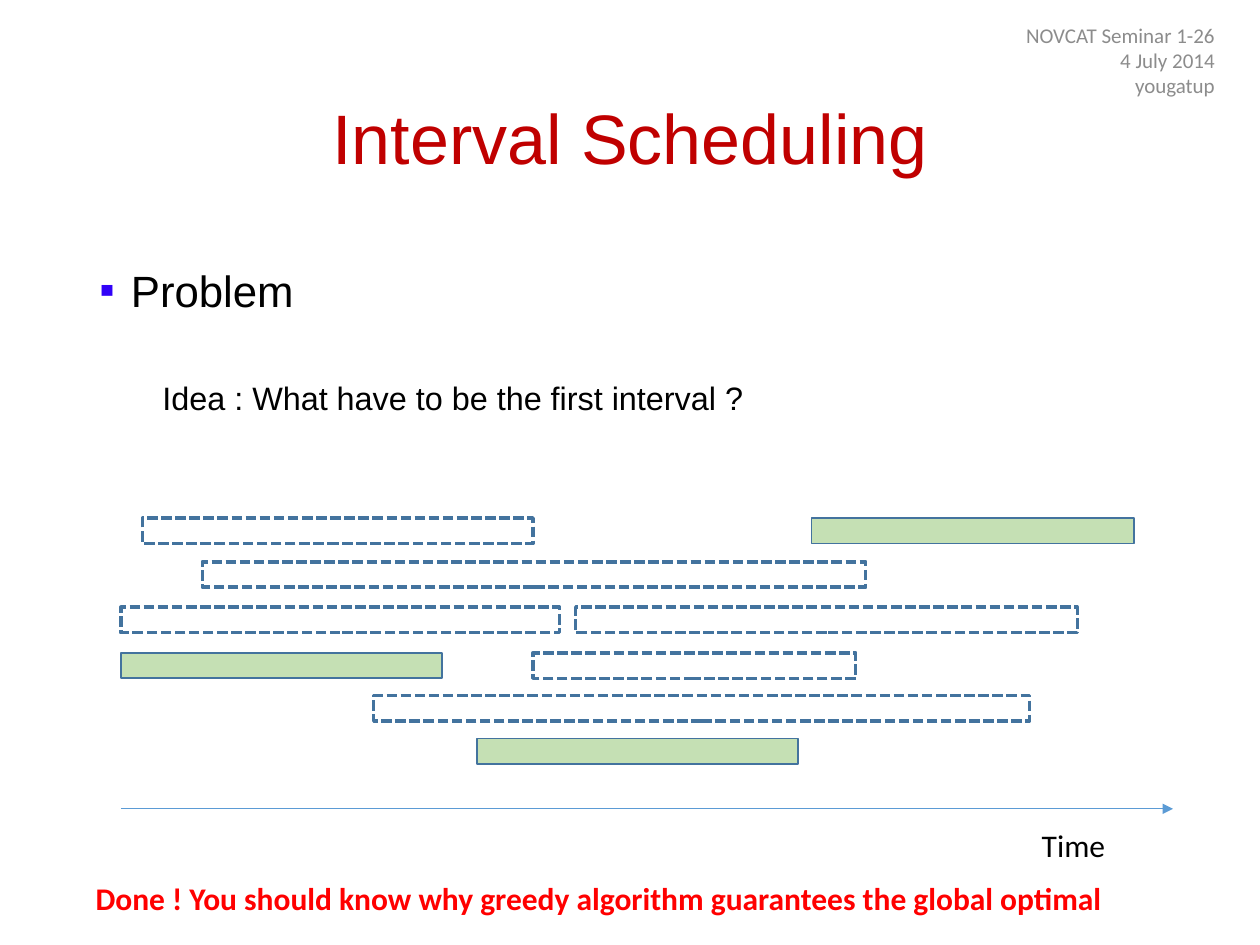
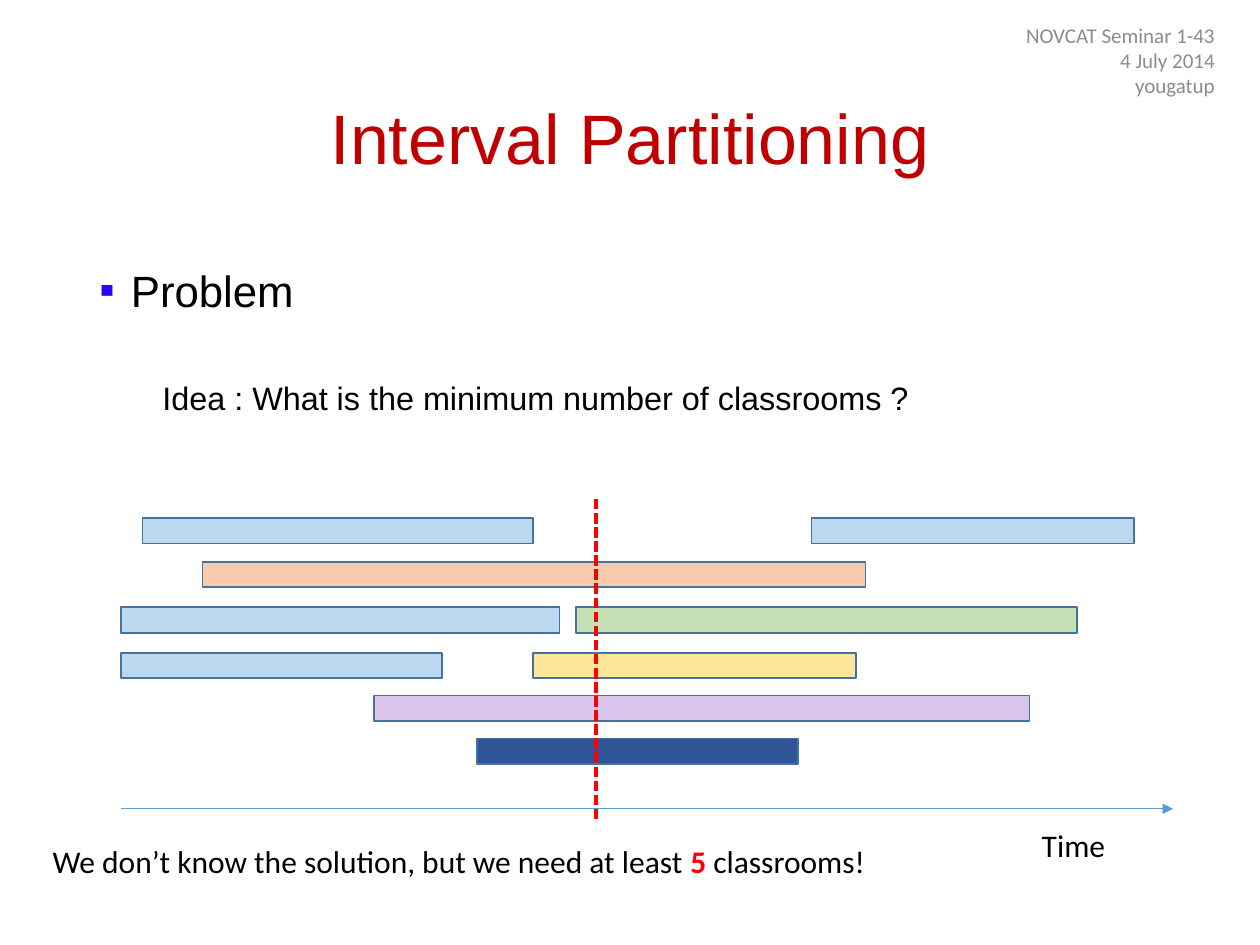
from lxml import etree
from pptx import Presentation
from pptx.dml.color import RGBColor
from pptx.enum import dml, shapes, text as te
from pptx.oxml import ns
from pptx.util import Pt

rgb = RGBColor.from_string
LEFT, CENTER, RIGHT = te.PP_ALIGN.LEFT, te.PP_ALIGN.CENTER, te.PP_ALIGN.RIGHT
TOP, MIDDLE = te.MSO_ANCHOR.TOP, te.MSO_ANCHOR.MIDDLE
BLACK, RED, DARK_RED, GREY = "000000", "FF0000", "C00000", "8C8C8C"
BULLET, EDGE, AXIS = "3102F8", "43739E", "5B9BD5"
WHITE, GREEN, BLUE, ORANGE = "FFFFFF", "C5E0B4", "BDD7EE", "F8CBAD"
YELLOW, PURPLE, NAVY = "FFE699", "DCC5ED", "2F5597"

ROWS = [296, 321, 347, 373, 397.5, 422]
BAR_H = 14.6
INTERVALS = [
    (0, 81.4, 223.2), (0, 463.7, 184.5), (1, 115.7, 379),
    (2, 69.1, 250.7), (2, 329, 286.7), (3, 69.1, 183.6),
    (3, 304.5, 184.5), (4, 213.6, 374.8), (5, 272.6, 183.6),
]
SLIDES = [
    dict(title="Interval Scheduling", page=26,
         idea="Idea : What have to be the first interval ?",
         fills=[WHITE, GREEN, WHITE, WHITE, WHITE, GREEN, WHITE, WHITE, GREEN],
         note_box=(47.5, 499, 589.7, 28.8),
         note=[("Done ! You should know why greedy algorithm guarantees "
                "the global optimal", RED, True)],
         cut=None),
    dict(title="Interval Partitioning", page=43,
         idea="Idea : What is the minimum number of classrooms ?",
         fills=[BLUE, BLUE, ORANGE, BLUE, GREEN, BLUE, YELLOW, PURPLE, NAVY],
         note_box=(23, 477.4, 484.6, 28.8),
         note=[("We don’t know the solution, but we need at least ", BLACK, False),
               ("5", RED, True), (" classrooms!", BLACK, False)],
         cut=340.6),
]


def box(s, x, y, w, h, anchor=TOP, wrap=True):
    tf = s.shapes.add_textbox(Pt(x), Pt(y), Pt(w), Pt(h)).text_frame
    tf.word_wrap = wrap
    tf.vertical_anchor = anchor
    return tf


def text(p, t, size=18, font="Calibri", color=BLACK, bold=False,
         align=LEFT, spacing=1.0, before=0):
    p.alignment = align
    p.line_spacing = spacing
    p.space_before = Pt(before)
    r = p.add_run()
    r.text = t
    r.font.size = Pt(size)
    r.font.name = font
    r.font.bold = bold
    r.font.color.rgb = rgb(color)


prs = Presentation()
prs.slide_width, prs.slide_height = Pt(720), Pt(540)

for d in SLIDES:
    s = prs.slides.add_slide(prs.slide_layouts[6])

    tf = box(s, 49.7, 28.8, 620.6, 104.4, anchor=MIDDLE)
    text(tf.paragraphs[0], d["title"], size=40, font="Arial", color=DARK_RED,
         align=CENTER, spacing=0.9)

    tf = box(s, 49.7, 144, 620.6, 342.7)
    p = tf.paragraphs[0]
    text(p, "Problem", size=25, font="Arial", spacing=1.1)
    pPr = p._p.get_or_add_pPr()
    pPr.set("marL", str(Pt(18)))
    pPr.set("indent", str(Pt(-18)))
    clr = etree.SubElement(pPr, ns.qn("a:buClr"))
    etree.SubElement(clr, ns.qn("a:srgbClr"), val=BULLET)
    etree.SubElement(pPr, ns.qn("a:buFont"), typeface="Arial")
    etree.SubElement(pPr, ns.qn("a:buChar"), char="▪")
    p = tf.add_paragraph()
    text(p, d["idea"], size=18.5, font="Arial", spacing=1.1, before=33.4)
    p._p.get_or_add_pPr().set("marL", str(Pt(36)))

    tf = box(s, 539.3, 14.4, 162, 39.6, anchor=MIDDLE)
    header = [f"NOVCAT Seminar 1-{d['page']}", "4 July 2014", "yougatup"]
    for i, t in enumerate(header):
        p = tf.add_paragraph() if i else tf.paragraphs[0]
        text(p, t, size=12, color=GREY, align=RIGHT)

    tf = box(s, 588.2, 468.7, 51.1, 28.8, wrap=False)
    text(tf.paragraphs[0], "Time")

    for (row, x, w), fill in zip(INTERVALS, d["fills"]):
        sp = s.shapes.add_shape(shapes.MSO_SHAPE.RECTANGLE,
                                Pt(x), Pt(ROWS[row]), Pt(w), Pt(BAR_H))
        sp.shadow.inherit = False
        sp.fill.solid()
        sp.fill.fore_color.rgb = rgb(fill)
        sp.line.color.rgb = rgb(EDGE)
        sp.line.width = Pt(2 if fill == WHITE else 1)
        if fill == WHITE:
            sp.line.dash_style = dml.MSO_LINE.SQUARE_DOT

    tf = box(s, *d["note_box"], wrap=False)
    for t, color, bold in d["note"]:
        text(tf.paragraphs[0], t, color=color, bold=bold)

    lines = [(69.1, 462.2, 670.3, 462.2, AXIS, 0.5)]
    if d["cut"]:
        lines.append((d["cut"], 285.1, d["cut"], 468.7, RED, 2))
    for x1, y1, x2, y2, color, width in lines:
        c = s.shapes.add_connector(shapes.MSO_CONNECTOR.STRAIGHT,
                                   Pt(x1), Pt(y1), Pt(x2), Pt(y2))
        c.line.color.rgb = rgb(color)
        c.line.width = Pt(width)
        if color == AXIS:
            etree.SubElement(c.line._get_or_add_ln(), ns.qn("a:tailEnd"),
                             type="triangle")
        else:
            c.line.dash_style = dml.MSO_LINE.SQUARE_DOT
        etree.SubElement(c._element.spPr, ns.qn("a:effectLst"))

prs.save("out.pptx")
